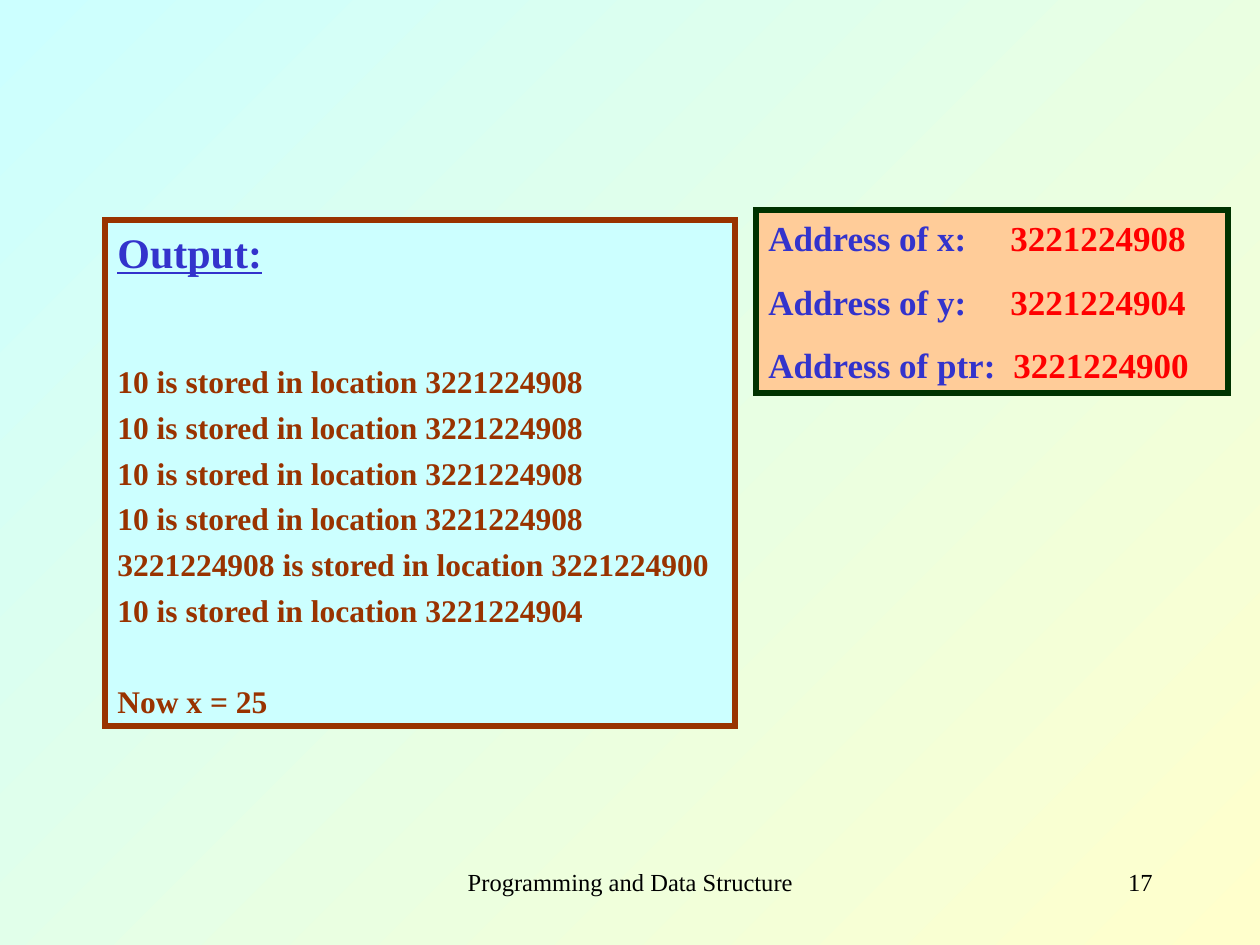
import dataclasses

import pptx
import pptx.dml.color
import pptx.enum.shapes
import pptx.enum.text
import pptx.oxml.ns
import pptx.util
from lxml import etree

ALIGN = pptx.enum.text.PP_ALIGN


@dataclasses.dataclass(frozen=True)
class Theme:
    face: str = "Times New Roman"
    ink: str = "000000"
    blue: str = "3333CC"
    brown: str = "993300"
    red: str = "FF0000"
    green: str = "003300"
    sky: str = "CCFFFF"
    cream: str = "FFFFCC"
    peach: str = "FFCC99"
    head: int = 24
    label: int = 20
    body: int = 18
    foot: int = 14
    border: int = 3


def px(count):
    return pptx.util.Emu(round(count * 914400 / 126))


def rgb(code):
    return pptx.dml.color.RGBColor.from_string(code)


class Deck:
    def __init__(self, theme):
        self.theme = theme
        self.prs = pptx.Presentation()
        self.prs.slide_width, self.prs.slide_height = px(1260), px(945)
        self.slide = self.prs.slides.add_slide(self.prs.slide_layouts[6])

    def back(self):
        fill = self.slide.background.fill
        fill.gradient()
        fill.gradient_angle = 315
        shades = (self.theme.sky, self.theme.cream)
        for stop, pos, shade in zip(fill.gradient_stops, (0, 1), shades):
            stop.position = pos
            stop.color.rgb = rgb(shade)

    def para(self, frame, size, color, gap=0, bold=True, align=ALIGN.LEFT):
        """Style the first paragraph while it is empty, else a new one."""
        para = frame.paragraphs[-1]
        if para.runs:
            para = frame.add_paragraph()
        para.alignment = align
        para.space_before = pptx.util.Pt(gap)
        font = para.font
        font.name, font.size, font.bold = self.theme.face, pptx.util.Pt(size), bold
        font.color.rgb = rgb(color)
        return para

    def panel(self, left, top, width, height, fill, line):
        """Draw a square-cornered frame and return its text frame."""
        shape = self.slide.shapes.add_shape(
            pptx.enum.shapes.MSO_SHAPE.RECTANGLE,
            px(left), px(top), px(width), px(height))
        shape.shadow.inherit = False
        shape.fill.solid()
        shape.fill.fore_color.rgb = rgb(fill)
        shape.line.color.rgb = rgb(line)
        shape.line.width = pptx.util.Pt(self.theme.border)
        edge = shape._element.spPr.find(pptx.oxml.ns.qn("a:ln"))
        etree.SubElement(edge, pptx.oxml.ns.qn("a:miter"), lim="800000")
        frame = shape.text_frame
        frame.word_wrap = True
        frame.vertical_anchor = pptx.enum.text.MSO_ANCHOR.TOP
        return frame

    def note(self, left, width, text, align):
        box = self.slide.shapes.add_textbox(px(left), px(861), px(width), px(63))
        box.text_frame.word_wrap = True
        para = self.para(box.text_frame, self.theme.foot, self.theme.ink,
                         bold=False, align=align)
        para.add_run().text = text

    def output(self, title, lines, final):
        look = self.theme
        frame = self.panel(105, 220, 630, 506, look.sky, look.brown)
        para = self.para(frame, look.head, look.blue, 15)
        para.font.underline = True
        para.add_run().text = title
        gaps = [49] + [4.5] * (len(lines) - 1) + [30.5]
        for text, gap in zip(lines + [final], gaps):
            para = self.para(frame, look.body, look.brown, gap)
            para.add_run().text = text

    def places(self, rows):
        """List each name with its address at the row's tab stop."""
        look = self.theme
        frame = self.panel(756, 210, 472, 183, look.peach, look.green)
        qn = pptx.oxml.ns.qn
        for name, value, stop in rows:
            para = self.para(frame, look.label, look.blue, 12.5)
            tabs = etree.Element(qn("a:tabLst"))
            etree.SubElement(tabs, qn("a:tab"), pos=str(px(stop)), algn="l")
            para._p.pPr.find(qn("a:defRPr")).addprevious(tabs)
            para.add_run().text = f"Address of {name}:"
            run = para.add_run()
            run.text = f"\t{value}"
            run.font.color.rgb = rgb(look.red)


def main():
    x, y, ptr = 3221224908, 3221224904, 3221224900
    stored = [(10, x)] * 4 + [(x, ptr), (10, y)]
    deck = Deck(Theme())
    deck.back()
    deck.note(431, 399, "Programming and Data Structure", ALIGN.CENTER)
    deck.note(903, 262, "17", ALIGN.RIGHT)
    deck.output("Output:",
                [f"{value} is stored in location {place}" for value, place in stored],
                "Now x = 25")
    deck.places([("x", x, 242), ("y", y, 242), ("ptr", ptr, 245)])
    deck.prs.save("out.pptx")


if __name__ == "__main__":
    main()
